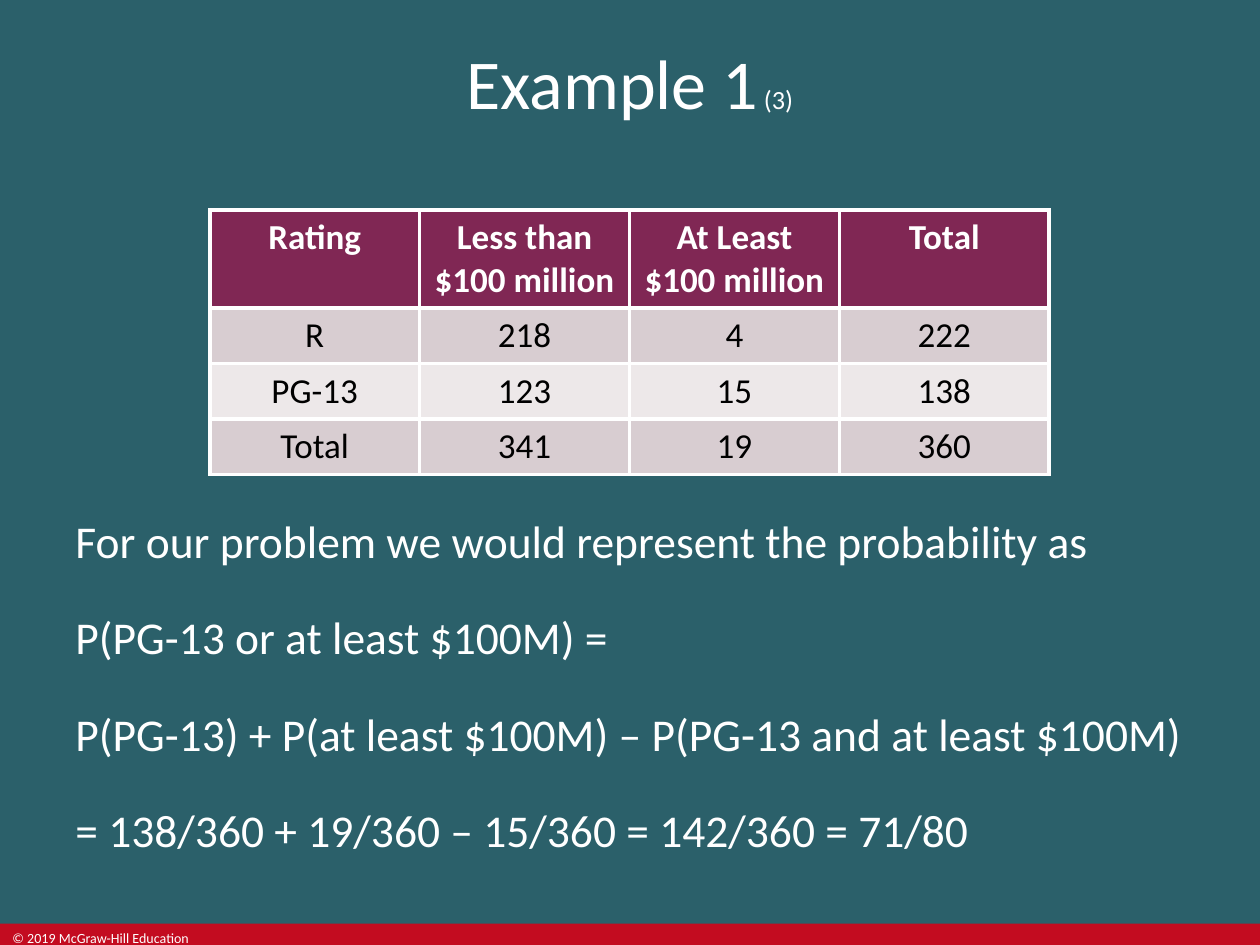
from dataclasses import dataclass

from lxml.etree import SubElement
from pptx import Presentation
from pptx.dml.color import RGBColor
from pptx.enum.shapes import MSO_SHAPE
from pptx.enum.text import MSO_ANCHOR, PP_ALIGN
from pptx.oxml.ns import qn
from pptx.slide import Slide
from pptx.table import _Cell
from pptx.text.text import _Paragraph
from pptx.util import Cm, Pt


@dataclass(frozen=True)
class Theme:
    font: str = "Calibri"
    background: str = "2B606A"
    footer: str = "C30C20"
    light: str = "FFFFFF"
    dark: str = "000000"
    header: str = "802754"
    bands: tuple[str, str] = ("D8CDD1", "EDE8E9")
    title_size: float = 40
    part_size: float = 15
    table_size: float = 20
    body_size: float = 26
    footer_size: float = 8
    border: float = 2.25


@dataclass(frozen=True)
class Run:
    text: str
    size: float
    color: str
    bold: bool = False


@dataclass(frozen=True)
class TextBlock:
    left: float
    top: float
    width: float
    height: float
    paragraphs: list[list[Run]]
    align: PP_ALIGN = PP_ALIGN.LEFT
    anchor: MSO_ANCHOR = MSO_ANCHOR.TOP
    spacing: float = 0


THEME = Theme()
WIDTH, HEIGHT = 25.4, 19.05
FOOTER_TOP, FOOTER_HEIGHT = 18.62, 0.43

RATINGS = [
    ["Rating", "Less than $100 million", "At Least $100 million", "Total"],
    ["R", "218", "4", "222"],
    ["PG-13", "123", "15", "138"],
    ["Total", "341", "19", "360"],
]
SOLUTION = [
    "For our problem we would represent the probability as",
    "P(PG-13 or at least $100M) =",
    "P(PG-13) + P(at least $100M) – P(PG-13 and at least $100M)",
    "= 138/360 + 19/360 – 15/360 = 142/360 = 71/80",
]
TEXT_BLOCKS = [
    TextBlock(0, FOOTER_TOP, 4.32, FOOTER_HEIGHT,
              [[Run("© 2019 McGraw-Hill Education", THEME.footer_size, THEME.light)]]),
    TextBlock(0, 0, WIDTH, 3.3,
              [[Run("Example 1", THEME.title_size, THEME.light),
                Run(" (3)", THEME.part_size, THEME.light)]],
              PP_ALIGN.CENTER, MSO_ANCHOR.MIDDLE),
    TextBlock(1.27, 10.21, 22.86, 7.37,
              [[Run(line, THEME.body_size, THEME.light)] for line in SOLUTION],
              spacing=12),
]


def rgb(color: str) -> RGBColor:
    return RGBColor.from_string(color)


def add_run(p: _Paragraph, run: Run) -> None:
    r = p.add_run()
    r.text = run.text
    r.font.name = THEME.font
    r.font.size = Pt(run.size)
    r.font.bold = run.bold
    r.font.color.rgb = rgb(run.color)


def add_text(s: Slide, block: TextBlock) -> None:
    sp = s.shapes.add_textbox(Cm(block.left), Cm(block.top), Cm(block.width), Cm(block.height))
    tf = sp.text_frame
    tf.word_wrap = True
    tf.vertical_anchor = block.anchor
    for i, runs in enumerate(block.paragraphs):
        p = tf.paragraphs[0] if i == 0 else tf.add_paragraph()
        p.alignment = block.align
        p.space_before = Pt(block.spacing if i else 0)
        p.space_after = Pt(block.spacing)
        for run in runs:
            add_run(p, run)


def add_footer_bar(s: Slide) -> None:
    sp = s.shapes.add_shape(MSO_SHAPE.RECTANGLE, Cm(0), Cm(FOOTER_TOP), Cm(WIDTH), Cm(FOOTER_HEIGHT))
    sp.shadow.inherit = False
    sp.fill.solid()
    sp.fill.fore_color.rgb = rgb(THEME.footer)
    sp.line.fill.background()


def set_borders(cell: _Cell) -> None:
    """Outline all four sides; call before filling, as the schema puts lines first."""
    tc_pr = cell._tc.get_or_add_tcPr()
    for side in ("a:lnL", "a:lnR", "a:lnT", "a:lnB"):
        ln = SubElement(tc_pr, qn(side), w=str(Pt(THEME.border)))
        fill = SubElement(ln, qn("a:solidFill"))
        SubElement(fill, qn("a:srgbClr"), val=THEME.light)


def add_ratings_table(s: Slide) -> None:
    column_width, header_height, row_height = 4.23, 1.98, 1.12
    n_rows, n_cols = len(RATINGS), len(RATINGS[0])
    table = s.shapes.add_table(
        n_rows, n_cols, Cm(4.23), Cm(4.23), Cm(n_cols * column_width),
        Cm(header_height + (n_rows - 1) * row_height)).table
    for column in table.columns:
        column.width = Cm(column_width)
    for i, values in enumerate(RATINGS):
        is_header = i == 0
        table.rows[i].height = Cm(header_height if is_header else row_height)
        for j, value in enumerate(values):
            cell = table.cell(i, j)
            set_borders(cell)
            cell.fill.solid()
            cell.fill.fore_color.rgb = rgb(THEME.header if is_header else THEME.bands[(i - 1) % 2])
            p = cell.text_frame.paragraphs[0]
            p.alignment = PP_ALIGN.CENTER
            color = THEME.light if is_header else THEME.dark
            add_run(p, Run(value, THEME.table_size, color, is_header))


def main() -> None:
    prs = Presentation()
    prs.slide_width, prs.slide_height = Cm(WIDTH), Cm(HEIGHT)
    s = prs.slides.add_slide(prs.slide_layouts[6])
    s.background.fill.solid()
    s.background.fill.fore_color.rgb = rgb(THEME.background)
    add_footer_bar(s)
    for block in TEXT_BLOCKS:
        add_text(s, block)
    add_ratings_table(s)
    prs.save("out.pptx")


if __name__ == "__main__":
    main()
